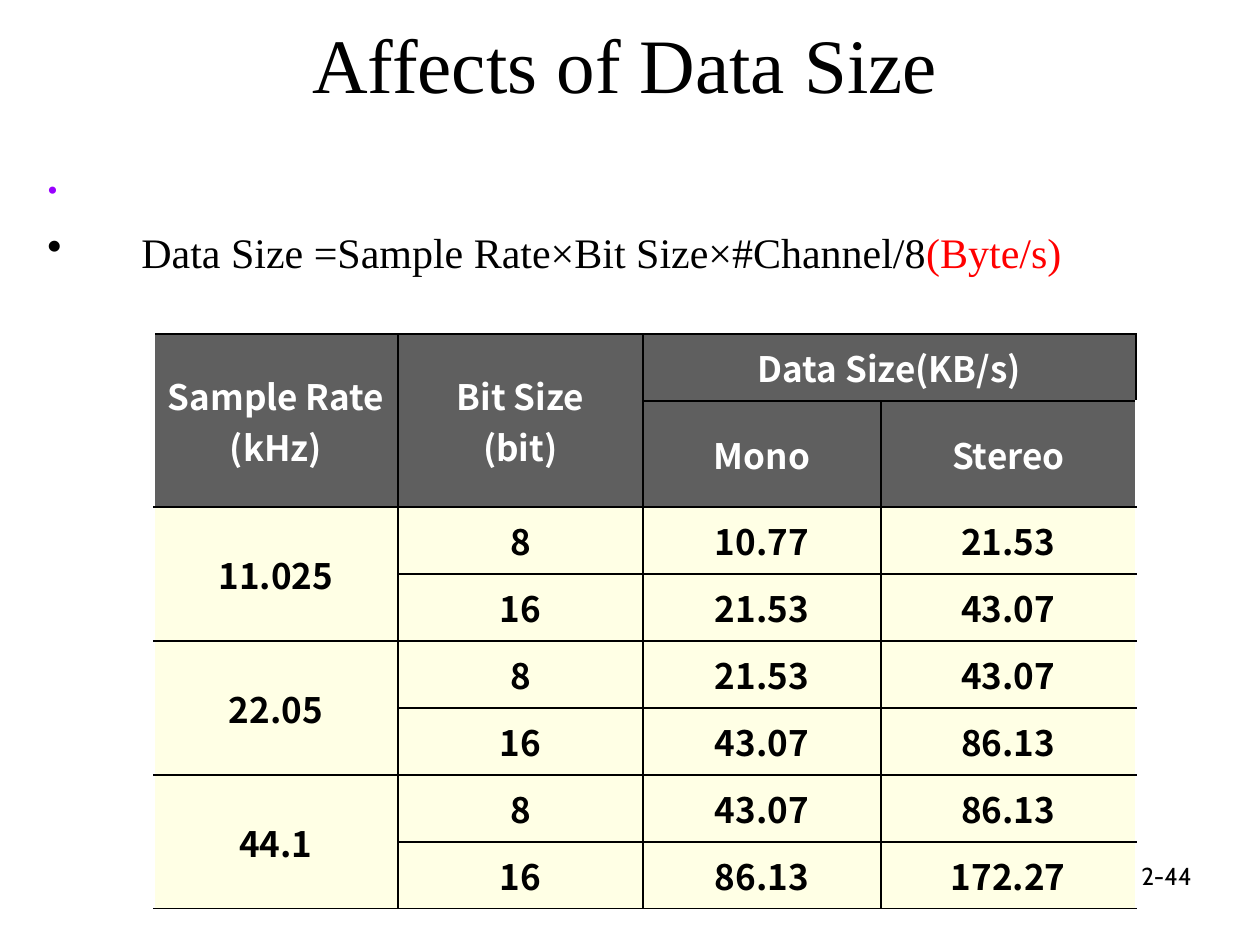
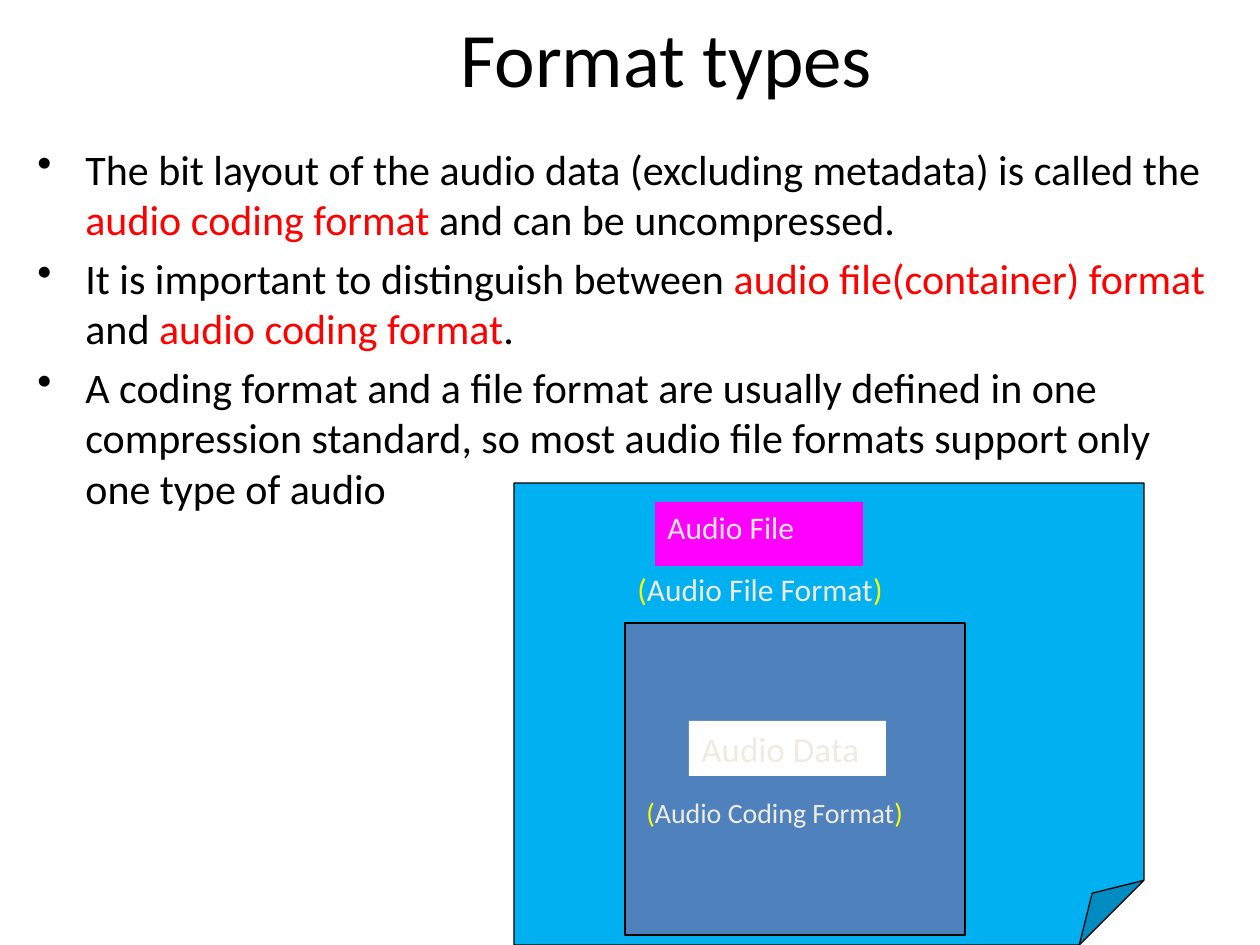
import pptx
import pptx.dml.color
import pptx.enum.shapes
import pptx.enum.text
import pptx.util
import lxml.etree

SHAPE = pptx.enum.shapes.MSO_SHAPE
ALIGN = pptx.enum.text.PP_ALIGN
ANCHOR = pptx.enum.text.MSO_ANCHOR
NS = "http://schemas.openxmlformats.org/drawingml/2006/main"

# Shared look
PX = 914400 / 126
BLACK, WHITE, RED, YELLOW = "000000", "FFFFFF", "FF0000", "FFFF00"
PURPLE, IVORY = "9900FF", "EEECE1"
HEADER_FILL, BODY_FILL = "5F5F5F", "FFFFCC"
SERIF, SANS, CJK = "Times New Roman", "Calibri", "Noto Sans CJK SC"
TITLE_SIZE, BODY_SIZE = 44, 24

# Slide 1 content: paragraphs are lists of (text, colour)
SIZE_TITLE = "Affects of Data Size"
LONE_BULLET = [("•", PURPLE)]
FORMULA = [("Data Size =Sample Rate×Bit Size×#Channel/8", BLACK), ("(Byte/s)", RED)]
PAGE_NUMBER = "2-44"
SIZE_ROWS = [
    ("Sample Rate\n(kHz)", "Bit Size\n(bit)", "Data Size(KB/s)", ""),
    ("", "", "Mono", "Stereo"),
    ("11.025", "8", "10.77", "21.53"),
    ("", "16", "21.53", "43.07"),
    ("22.05", "8", "21.53", "43.07"),
    ("", "16", "43.07", "86.13"),
    ("44.1", "8", "43.07", "86.13"),
    ("", "16", "86.13", "172.27"),
]
HEADER_ROWS = 2
COLUMN_WIDTHS = [244, 245, 238, 255]
ROW_HEIGHTS = [67, 106] + [67] * 6
# Merged cells: first and last (row, column)
MERGES = [((0, 2), (0, 3)), ((0, 1), (1, 1))] + [
    ((row, 0), (row + 1, 0)) for row in range(0, len(SIZE_ROWS), 2)]

# Slide 2 content
FORMAT_TITLE = "Format types"
FORMAT_POINTS = [
    [("The bit layout of the audio data (excluding metadata) is called the ", BLACK),
     ("audio coding format ", RED), ("and can be uncompressed.", BLACK)],
    [("It is important to distinguish between ", BLACK),
     ("audio file(container) format", RED), (" and ", BLACK),
     ("audio coding format", RED), (".", BLACK)],
    [("A coding format and a file format are usually defined in one compression "
      "standard, so most audio file formats support only one type of audio", BLACK)],
]
# Nested diagram: place, preset, fill, outline, text size, runs
FILE_DIAGRAM = [
    ((514, 483, 630, 462), SHAPE.FOLDED_CORNER, "00B0F0", BLACK, 18, []),
    ((625, 564, 339, 50), None, None, None, 18,
     [("(", YELLOW), ("Audio File Format", IVORY), (")", YELLOW)]),
    ((655, 502, 208, 64), SHAPE.RECTANGLE, "FF00FF", None, 18, [("Audio File", IVORY)]),
    ((625, 623, 340, 312), SHAPE.RECTANGLE, "4F81BD", BLACK, 18, []),
    ((634, 789, 309, 47), None, None, None, 16,
     [("(", YELLOW), ("Audio Coding Format", IVORY), (")", YELLOW)]),
    ((689, 721, 197, 55), SHAPE.RECTANGLE, WHITE, None, 20, [("Audio Data", IVORY)]),
]


def px(length):
    return pptx.util.Emu(round(length * PX))


def colour(code):
    return pptx.dml.color.RGBColor.from_string(code)


def write(para, runs, font, size, align=ALIGN.LEFT, bold=False):
    para.alignment = align
    para.font.name = font
    para.font.size = pptx.util.Pt(size)
    para.font.bold = bold
    for text, code in runs:
        span = para.add_run()
        span.text = text
        span.font.color.rgb = colour(code)


def add_bullet(para, indent):
    properties = para._p.get_or_add_pPr()
    properties.set("marL", str(px(indent)))
    properties.set("indent", str(-px(indent)))
    lxml.etree.SubElement(properties, f"{{{NS}}}buChar").set("char", "•")


def add_box(page, place, anchor=ANCHOR.TOP):
    box = page.shapes.add_textbox(*map(px, place))
    box.text_frame.word_wrap = True
    box.text_frame.vertical_anchor = anchor
    return box


def add_title(page, place, text, font):
    box = add_box(page, place, ANCHOR.MIDDLE)
    write(box.text_frame.paragraphs[0], [(text, BLACK)], font, TITLE_SIZE, ALIGN.CENTER)


def add_shape(page, place, preset, fill, outline):
    shape = page.shapes.add_shape(preset, *map(px, place))
    shape.shadow.inherit = False
    shape.fill.solid()
    shape.fill.fore_color.rgb = colour(fill)
    if outline:
        shape.line.color.rgb = colour(outline)
        shape.line.width = pptx.util.Pt(0.75)
    else:
        shape.line.fill.background()
    shape.text_frame.vertical_anchor = ANCHOR.TOP
    return shape


def set_fold(shape, share):
    # This preset has no entry in shape.adjustments
    geometry = shape._element.spPr.find(f"{{{NS}}}prstGeom")
    guides = geometry.find(f"{{{NS}}}avLst")
    if guides is None:
        guides = lxml.etree.SubElement(geometry, f"{{{NS}}}avLst")
    lxml.etree.SubElement(guides, f"{{{NS}}}gd", name="adj",
                          fmla=f"val {round(share * 100000)}")


def add_borders(cell, sides):
    properties = cell._tc.get_or_add_tcPr()
    for side in sides:
        line = lxml.etree.SubElement(properties, f"{{{NS}}}ln{side}", w="12700")
        fill = lxml.etree.SubElement(line, f"{{{NS}}}solidFill")
        lxml.etree.SubElement(fill, f"{{{NS}}}srgbClr", val=BLACK)


def style_cell(cell, text, is_header, sides):
    cell.margin_left = cell.margin_right = pptx.util.Inches(0.1)
    cell.margin_top = cell.margin_bottom = pptx.util.Inches(0.02)
    cell.vertical_anchor = ANCHOR.MIDDLE
    add_borders(cell, sides)
    cell.fill.solid()
    cell.fill.fore_color.rgb = colour(HEADER_FILL if is_header else BODY_FILL)
    if not is_header:
        tint = cell._tc.tcPr.find(f"{{{NS}}}solidFill/{{{NS}}}srgbClr")
        lxml.etree.SubElement(tint, f"{{{NS}}}alpha", val="50000")
    if not text:
        return
    frame = cell.text_frame
    for index, line in enumerate(text.split("\n")):
        para = frame.add_paragraph() if index else frame.paragraphs[0]
        write(para, [(line, WHITE if is_header else BLACK)], CJK, 20, ALIGN.CENTER, True)


def add_size_table(page):
    place = (154, 334, sum(COLUMN_WIDTHS), sum(ROW_HEIGHTS))
    table = page.shapes.add_table(
        len(ROW_HEIGHTS), len(COLUMN_WIDTHS), *map(px, place)).table
    table.first_row = table.horz_banding = False
    for column, width in zip(table.columns, COLUMN_WIDTHS):
        column.width = px(width)
    for row, height in zip(table.rows, ROW_HEIGHTS):
        row.height = px(height)
    for first, last in MERGES:
        table.cell(*first).merge(table.cell(*last))
    # The outer left and right edges stay open
    last_column = len(COLUMN_WIDTHS) - 1
    for row, texts in enumerate(SIZE_ROWS):
        for column, text in enumerate(texts):
            sides = [side for side in "LRTB"
                     if (side, column) not in (("L", 0), ("R", last_column))]
            style_cell(table.cell(row, column), text, row < HEADER_ROWS, sides)


def build_size_page(page):
    number = add_box(page, (1129, 850, 131, 52), ANCHOR.MIDDLE)
    write(number.text_frame.paragraphs[0], [(PAGE_NUMBER, BLACK)], "Cabin", 14)

    # Lone coloured bullet, then the formula
    frame = add_box(page, (35, 165, 1169, 221)).text_frame
    write(frame.paragraphs[0], LONE_BULLET, SERIF, 17)
    formula = frame.add_paragraph()
    formula.space_before = pptx.util.Pt(11)
    add_bullet(formula, 94)
    write(formula, FORMULA, SERIF, BODY_SIZE)

    add_size_table(page)
    add_title(page, (186, 10, 878, 105), SIZE_TITLE, SERIF)


def build_format_page(page):
    add_title(page, (144, 4, 1045, 105), FORMAT_TITLE, SANS)

    # Nested file and data boxes
    for place, preset, fill, outline, size, runs in FILE_DIAGRAM:
        if preset is None:
            part = add_box(page, place)
        else:
            part = add_shape(page, place, preset, fill, outline)
        if preset == SHAPE.FOLDED_CORNER:
            set_fold(part, 0.14)
        if runs:
            write(part.text_frame.paragraphs[0], runs, SANS, size)

    # Bulleted points
    frame = add_box(page, (25, 137, 1211, 420)).text_frame
    for index, runs in enumerate(FORMAT_POINTS):
        para = frame.add_paragraph() if index else frame.paragraphs[0]
        if index:
            para.space_before = pptx.util.Pt(4.8)
        add_bullet(para, 48)
        write(para, runs, SANS, BODY_SIZE)


def main():
    deck = pptx.Presentation()
    deck.slide_width, deck.slide_height = px(1260), px(945)
    for build in (build_size_page, build_format_page):
        build(deck.slides.add_slide(deck.slide_layouts[6]))
    deck.save("out.pptx")


if __name__ == "__main__":
    main()
